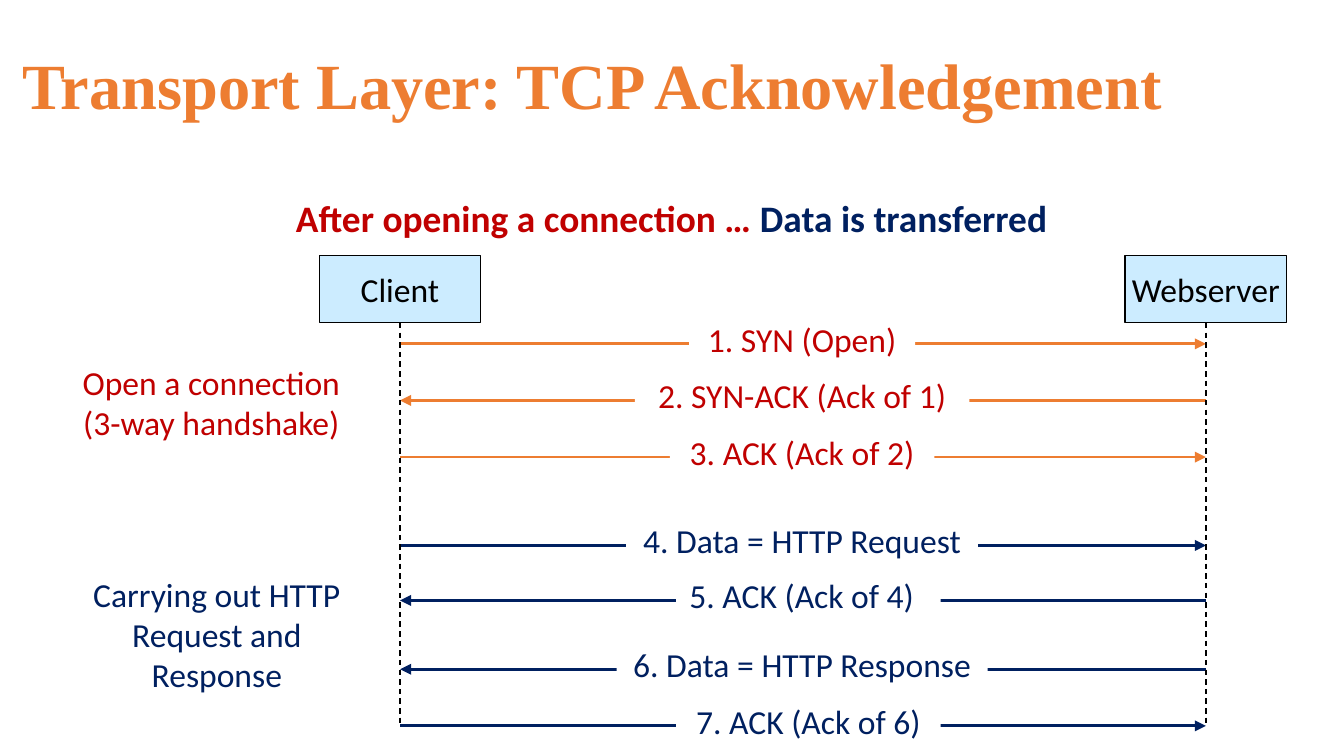
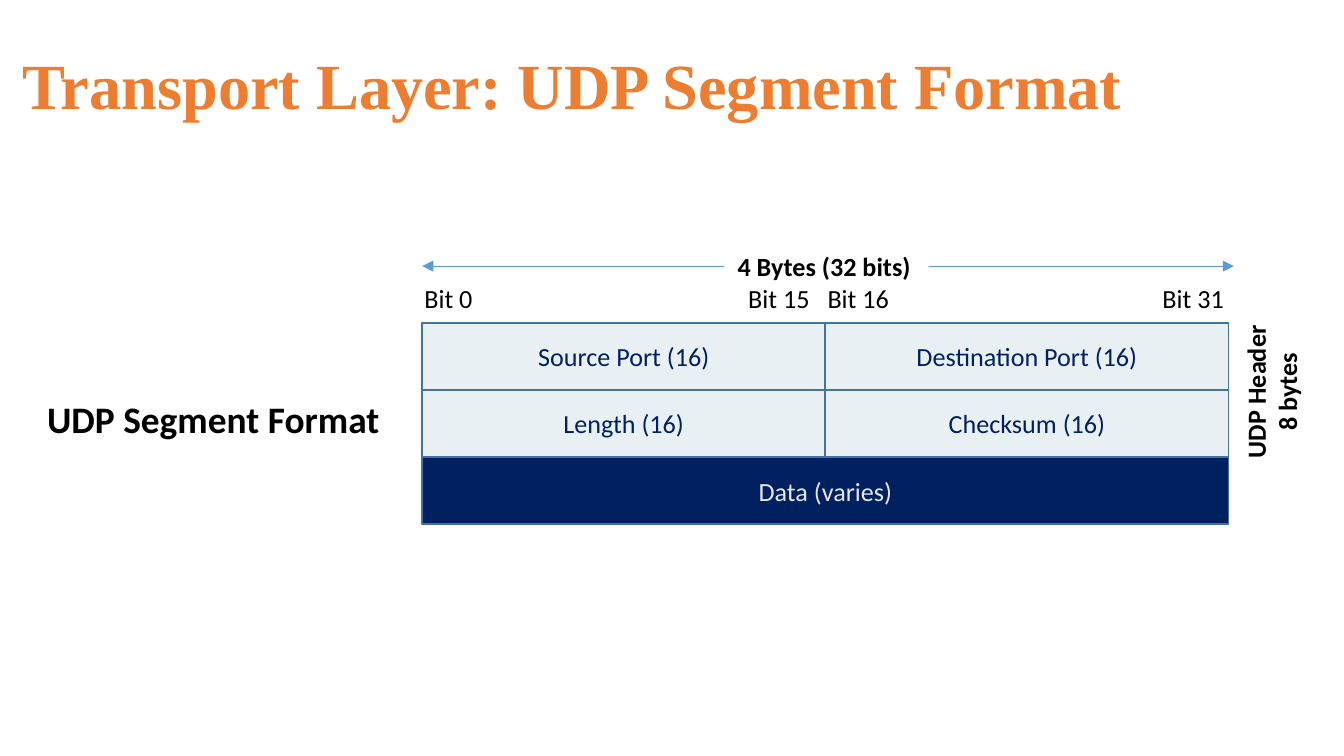
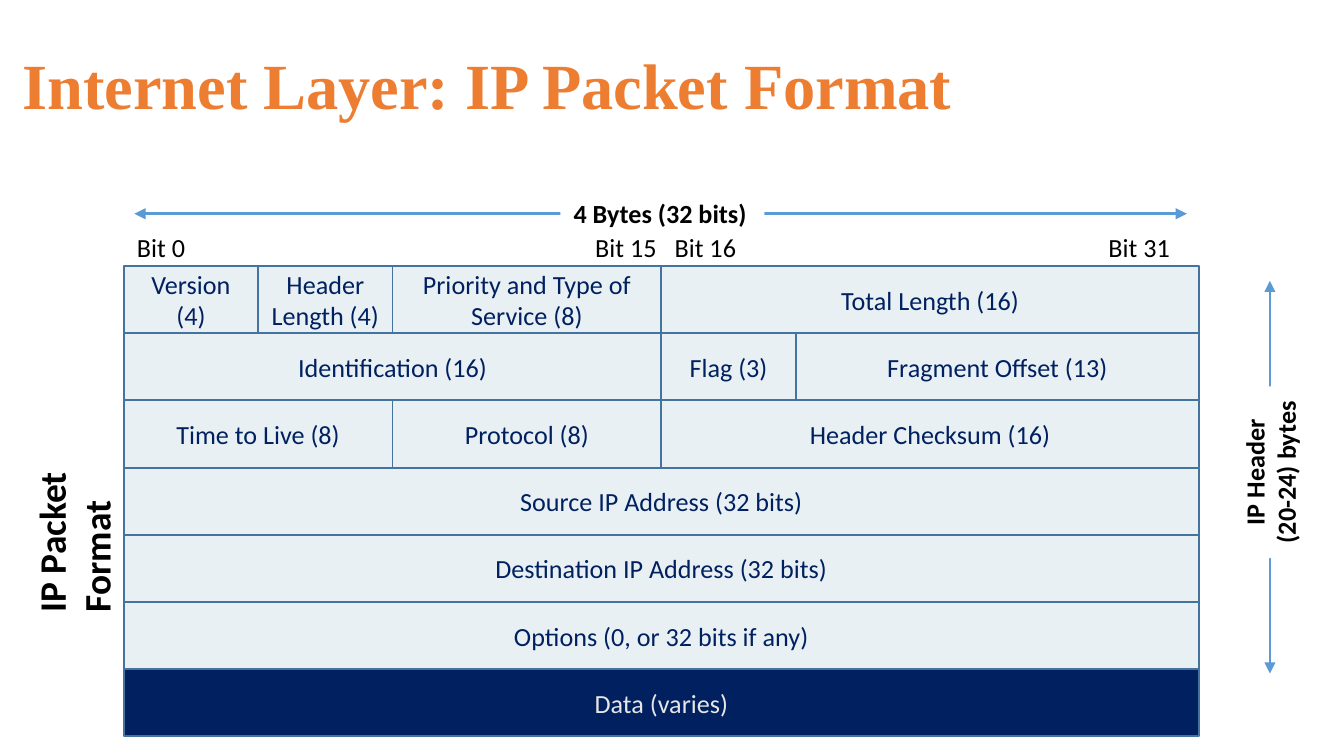
import pptx
import pptx.dml.color
import pptx.enum.dml
import pptx.enum.shapes
import pptx.enum.text
import pptx.oxml
import pptx.oxml.ns
import pptx.util
from pptx.util import Cm

ORANGE, RED, NAVY, BLUE = "ED7D31", "C00000", "002060", "5B9BD5"
BLACK, WHITE, PALE_GREY = "000000", "FFFFFF", "E7E6E6"
HOST_FILL, FIELD_FILL, FIELD_EDGE = "CCECFF", "E8F0F4", "43739E"
TITLE_BOX = (0.43, 0.79, 22.02, 1.57)

# Boxes are left, top, width, height in centimetres.
HANDSHAKE = {
    "title": "Transport Layer: TCP Acknowledgement",
    "heading": [[("After opening a connection … ", RED), ("Data is transferred", NAVY)]],
    "heading box": (5.05, 3.56, 15.29, 1.12),
    "hosts": [("Client", 7.56), ("Webserver", 22.79)],
    "host top": 4.83, "host width": 3.05, "host height": 1.27,
    "lifeline end": 13.72,
    # text, y, to the right, line colour, text colour, label centre, label width, alignment
    "messages": [
        ("1. SYN (Open)", 6.5, True, ORANGE, RED, 15.16, 4.27, "CENTER"),
        ("2. SYN-ACK (Ack of 1)", 7.57, False, ORANGE, RED, 15.16, 6.32, "CENTER"),
        ("3. ACK (Ack of 2)", 8.64, True, ORANGE, RED, 15.16, 5, "CENTER"),
        ("4. Data = HTTP Request", 10.31, True, NAVY, NAVY, 15.16, 6.65, "CENTER"),
        ("5. ACK (Ack of 4)", 11.35, False, NAVY, NAVY, 15.28, 5, "LEFT"),
        ("6. Data = HTTP Response", 12.65, False, NAVY, NAVY, 15.16, 7.01, "CENTER"),
        ("7. ACK (Ack of 6)", 13.72, True, NAVY, NAVY, 15.28, 5, "CENTER"),
    ],
    "phases": [
        (["Open a connection", "(3-way handshake)"], (1.24, 6.71, 5.51, 1.8), RED, False),
        (["Carrying out HTTP", "Request and Response"], (1.47, 10.72, 5.26, 2.57), NAVY, True),
    ],
}

ROW_HEIGHT = 1.27
WORD = 32
BIT_LABELS = ["Bit 0", "Bit 15", "Bit 16", "Bit 31"]
DATA = "Data (varies)"
# Each field is its text and its drawn width in bits.
FORMATS = [
    {
        "title": "Transport Layer: UDP Segment Format",
        "left": 7.98, "top": 6.1, "width": 15.24,
        "rows": [
            [("Source Port (16)", 16), ("Destination Port (16)", 16)],
            [("Length (16)", 16), ("Checksum (16)", 16)],
            [(DATA, WORD)],
        ],
        "bit lefts": [7.77, 13.89, 15.39, 21.72], "bit top": 5.22,
        "spans": [((7.98, 5.03), (23.32, 5.03))], "span weight": 0.5,
        "span label": (13.69, 4.6, 3.86, 0.86),
        "header": ["UDP Header", "8 bytes"], "header box": (22.48, 6.68, 3.1, 1.45),
        "name": "UDP Segment Format", "name box": (0.64, 7.37, 6.81, 1.12), "name turn": 0,
    },
    {
        "title": "Internet Layer: IP Packet Format",
        "left": 2.34, "top": 5.03, "width": 20.32,
        "rows": [
            [("Version (4)", 4), ("Header Length (4)", 4),
             ("Priority and Type of Service (8)", 8), ("Total Length (16)", 16)],
            [("Identification (16)", 16), ("Flag (3)", 4), ("Fragment Offset (13)", 12)],
            [("Time to Live (8)", 8), ("Protocol (8)", 8), ("Header Checksum (16)", 16)],
            [("Source IP Address (32 bits)", WORD)],
            [("Destination IP Address (32 bits)", WORD)],
            [("Options (0, or 32 bits if any)", WORD)],
            [(DATA, WORD)],
        ],
        "bit lefts": [2.34, 11, 12.5, 20.7], "bit top": 4.24,
        "spans": [((2.54, 4.04), (22.43, 4.04)), ((24, 12.73), (24, 5.31))], "span weight": 1.5,
        "span label": (10.59, 3.61, 3.86, 0.86),
        "header": ["IP Header", "(20-24) bytes"], "header box": (22.38, 8.2, 3.25, 1.45),
        "name": "IP Packet Format", "name box": (-1.73, 8.56, 5.41, 1.12), "name turn": 270,
    },
]


def rgb(colour):
    return pptx.dml.color.RGBColor.from_string(colour)


def add_text(slide, box, lines, size=14, font="Calibri", colour=BLACK, bold=False,
             align="LEFT", anchor="TOP", wrap=False, grow=True, inset=None,
             fill=None, edge=None, weight=1, turn=0):
    """Lines is one string or a list; a line may be a list of (text, colour) runs."""
    place = [Cm(length) for length in box]
    if fill:
        shape = slide.shapes.add_shape(pptx.enum.shapes.MSO_SHAPE.RECTANGLE, *place)
        shape.shadow.inherit = False
        shape.fill.solid()
        shape.fill.fore_color.rgb = rgb(fill)
        if edge:
            shape.line.color.rgb = rgb(edge)
            shape.line.width = pptx.util.Pt(weight)
        else:
            shape.line.fill.background()
    else:
        shape = slide.shapes.add_textbox(*place)
    shape.rotation = turn
    frame = shape.text_frame
    frame.word_wrap = wrap
    frame.vertical_anchor = pptx.enum.text.MSO_ANCHOR[anchor]
    fit = pptx.enum.text.MSO_AUTO_SIZE
    frame.auto_size = fit.SHAPE_TO_FIT_TEXT if grow else fit.NONE
    if inset is not None:
        frame.margin_left = frame.margin_top = Cm(inset)
        frame.margin_right = frame.margin_bottom = Cm(inset)
    for index, line in enumerate([lines] if isinstance(lines, str) else lines):
        paragraph = frame.add_paragraph() if index else frame.paragraphs[0]
        paragraph.alignment = pptx.enum.text.PP_ALIGN[align]
        for text, run_colour in [(line, colour)] if isinstance(line, str) else line:
            run = paragraph.add_run()
            run.text = text
            run.font.name = font
            run.font.size = pptx.util.Pt(size)
            run.font.bold = bold
            run.font.color.rgb = rgb(run_colour)
    return shape


def add_line(slide, start, end, colour, weight, arrows=(), dashed=False):
    """Arrows names the ends with a triangle, headEnd before tailEnd."""
    line = slide.shapes.add_connector(
        pptx.enum.shapes.MSO_CONNECTOR.STRAIGHT, *[Cm(length) for length in start + end])
    line.line.color.rgb = rgb(colour)
    line.line.width = pptx.util.Pt(weight)
    if dashed:
        line.line.dash_style = pptx.enum.dml.MSO_LINE.DASH
    properties = line.element.spPr
    stroke = properties.find(pptx.oxml.ns.qn("a:ln"))
    for arrow in arrows:
        stroke.append(pptx.oxml.parse_xml(
            f'<a:{arrow} {pptx.oxml.ns.nsdecls("a")} type="triangle"/>'))
    properties.append(pptx.oxml.parse_xml(f'<a:effectLst {pptx.oxml.ns.nsdecls("a")}/>'))
    return line


def add_titled_slide(deck, title):
    slide = deck.slides.add_slide(deck.slide_layouts[6])
    add_text(slide, TITLE_BOX, title, size=34.5, font="Times New Roman", colour=ORANGE,
             bold=True, anchor="MIDDLE", wrap=True, grow=False, inset=0)
    return slide


def build_handshake(deck, content):
    slide = add_titled_slide(deck, content["title"])
    client, server = [x for _, x in content["hosts"]]
    for _, y, rightward, line_colour, *_ in content["messages"]:
        start, end = (client, server) if rightward else (server, client)
        add_line(slide, (start, y), (end, y), line_colour, 1.5, ["tailEnd"])

    top, width = content["host top"], content["host width"]
    for name, x in content["hosts"]:
        host = add_text(slide, (x - width / 2, top, width, content["host height"]), name,
                        size=18, align="CENTER", anchor="MIDDLE", grow=False,
                        fill=HOST_FILL, edge=BLACK, weight=0.75)
        lifeline = add_line(slide, (x, top), (x, content["lifeline end"]), BLACK, 0.75,
                            dashed=True)
        lifeline.begin_connect(host, 0)
        slide.shapes.element.append(host.element)  # host covers the lifeline

    for text, y, _, _, colour, centre, width, align in content["messages"]:
        add_text(slide, (centre - width / 2, y - 0.6, width, 1.02), text, size=18,
                 colour=colour, align=align, fill=WHITE)
    for lines, box, colour, wrap in content["phases"]:
        add_text(slide, box, lines, size=18, colour=colour, align="CENTER", wrap=wrap)
    add_text(slide, content["heading box"], content["heading"], size=20, bold=True,
             align="CENTER")


def build_format(deck, content):
    slide = add_titled_slide(deck, content["title"])
    bit_width = content["width"] / WORD
    for row, fields in enumerate(content["rows"]):
        left = content["left"]
        for text, bits in fields:
            width = bits * bit_width
            fill, colour = (NAVY, PALE_GREY) if text == DATA else (FIELD_FILL, NAVY)
            add_text(slide, (left, content["top"] + row * ROW_HEIGHT, width, ROW_HEIGHT),
                     text, colour=colour, align="CENTER", anchor="MIDDLE", wrap=True,
                     grow=False, fill=fill, edge=FIELD_EDGE)
            left += width

    for text, left in zip(BIT_LABELS, content["bit lefts"]):
        width = 1.42 if text == "Bit 0" else 1.73
        add_text(slide, (left, content["bit top"], width, 0.86), text)
    for start, end in content["spans"]:
        add_line(slide, start, end, BLUE, content["span weight"], ["headEnd", "tailEnd"])
    add_text(slide, content["span label"], "4 Bytes (32 bits)", bold=True, fill=WHITE)
    add_text(slide, content["header box"], content["header"], bold=True, align="CENTER",
             fill=WHITE, turn=270)
    add_text(slide, content["name box"], content["name"], size=20, bold=True, fill=WHITE,
             turn=content["name turn"])


def main():
    deck = pptx.Presentation()
    deck.slide_width, deck.slide_height = Cm(25.4), Cm(14.29)
    build_handshake(deck, HANDSHAKE)
    for content in FORMATS:
        build_format(deck, content)
    deck.save("out.pptx")


if __name__ == "__main__":
    main()
